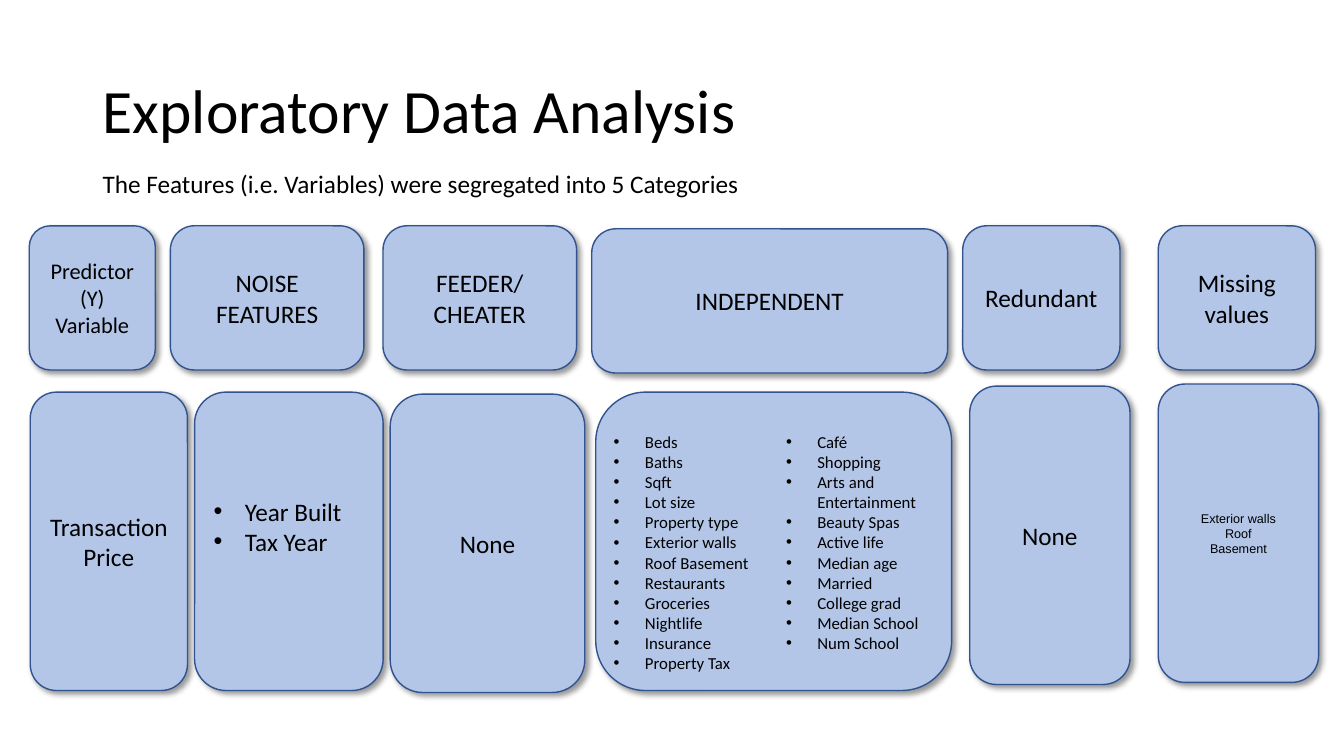
from lxml.etree import SubElement
from pptx import Presentation
from pptx.dml.color import RGBColor
from pptx.enum.shapes import MSO_SHAPE as Shape
from pptx.enum.text import MSO_ANCHOR as Anchor, MSO_AUTO_SIZE as AutoSize, PP_ALIGN as Align
from pptx.oxml.ns import qn
from pptx.util import Inches, Pt

COLORS = {"text": "000000", "card": "B3C6E7", "outline": "31538F", "shadow": "000000"}
HEADING_HEIGHT, DETAIL_HEIGHT = 19.07, 39.47  # percent of the slide height

deck = Presentation()
deck.slide_width, deck.slide_height = Inches(13.33), Inches(7.5)
slide = deck.slides.add_slide(deck.slide_layouts[5])


def write(holder, text, size, align=Align.LEFT, anchor=Anchor.TOP, font="Calibri", bullets=False):
    """Fill a shape with one paragraph per line and format it."""
    frame = holder.text_frame
    frame.text = text
    frame.word_wrap, frame.auto_size = True, AutoSize.NONE
    frame.vertical_anchor = anchor
    for paragraph in frame.paragraphs:
        paragraph.alignment = align
        paragraph.font.size, paragraph.font.name = Pt(size), font
        for run in paragraph.runs:
            run.font.size, run.font.name = Pt(size), font
            run.font.color.rgb = RGBColor.from_string(COLORS["text"])
        if bullets:
            props = paragraph._p.get_or_add_pPr()
            props.set("marL", str(Inches(0.31)))
            props.set("indent", str(-Inches(0.31)))
            SubElement(props, qn("a:buFont"), typeface="Arial")
            SubElement(props, qn("a:buChar"), char="•")


def place(left, top, width, height):
    """Turn percentages of the slide into a position and a size."""
    return [int(deck.slide_width * left / 100), int(deck.slide_height * top / 100),
            int(deck.slide_width * width / 100), int(deck.slide_height * height / 100)]


title = slide.shapes.title
title.left, title.top, title.width, title.height = place(6.9, 5.33, 86.25, 19.33)
write(title, "Exploratory Data Analysis", 44, anchor=Anchor.MIDDLE)
title.text_frame.paragraphs[0].line_spacing = 0.9

intro = slide.shapes.add_textbox(*place(6.9, 21.6, 60.3, 5.33))
write(intro, "The Features (i.e. Variables) were segregated into 5 Categories", 18)

# Each category: heading, then detail, as (left, top, width, text, size, font)
categories = [
    ((2.18, 29.87, 9.38, "Predictor (Y) Variable", 16, "Calibri"),
     (2.25, 51.87, 11.7, "Transaction Price", 18, "Calibri")),
    ((12.68, 29.87, 14.4, "NOISE FEATURES", 18, "Calibri"),
     (14.48, 51.87, 14.03, "Year Built\nTax Year", 18, "Calibri")),
    ((28.5, 29.87, 14.4, "FEEDER/\nCHEATER", 18, "Calibri"),
     (29.03, 52.13, 14.48, "None", 18, "Calibri")),
    ((44.03, 30.27, 26.48, "INDEPENDENT", 18, "Calibri"),
     (44.33, 51.87, 26.48, "", 12, "Calibri")),
    ((71.63, 29.87, 11.7, "Redundant", 18, "Calibri"),
     (72.15, 51.07, 11.93, "None", 18, "Calibri")),
    ((86.18, 29.87, 11.7, "Missing values", 18, "Calibri"),
     (86.18, 50.8, 11.93, "Exterior walls\nRoof\nBasement", 9, "Arial")),
]
for category in categories:
    for (left, top, width, text, size, font), height in zip(category, (HEADING_HEIGHT, DETAIL_HEIGHT)):
        card = slide.shapes.add_shape(Shape.ROUNDED_RECTANGLE, *place(left, top, width, height))
        card.fill.solid()
        card.fill.fore_color.rgb = RGBColor.from_string(COLORS["card"])
        card.line.color.rgb = RGBColor.from_string(COLORS["outline"])
        card.line.width = Pt(1)
        card.shadow.inherit = False
        effects = card._element.spPr.find(qn("a:effectLst"))
        shadow = SubElement(effects, qn("a:outerShdw"), blurRad=str(Pt(4)), dist=str(Pt(3)),
                            dir=str(45 * 60000), algn="tl", rotWithShape="0")
        shade = SubElement(shadow, qn("a:srgbClr"), val=COLORS["shadow"])
        SubElement(shade, qn("a:alpha"), val="40000")
        if text.startswith("Year"):
            write(card, text, size, anchor=Anchor.MIDDLE, bullets=True)
            card.text_frame.margin_bottom = Inches(0.35)
        elif text:
            write(card, text, size, Align.CENTER, Anchor.MIDDLE, font)

independent_lists = [
    (44.93, 16.35, 28.27, ["Beds", "Baths", "Sqft", "Lot size", "Property type", "Exterior walls",
                           "Roof Basement", "Restaurants", "Groceries", "Nightlife", "Insurance",
                           "Property Tax"]),
    (57.75, 13.28, 22.93, ["Café", "Shopping", "Arts and Entertainment", "Beauty Spas",
                           "Active life", "Median age", "Married", "College grad",
                           "Median School", "Num School"]),
]
for left, width, height, features in independent_lists:
    feature_list = slide.shapes.add_textbox(*place(left, 56.4, width, height))
    write(feature_list, "\n".join(features), 12, bullets=True)

deck.save("out.pptx")
